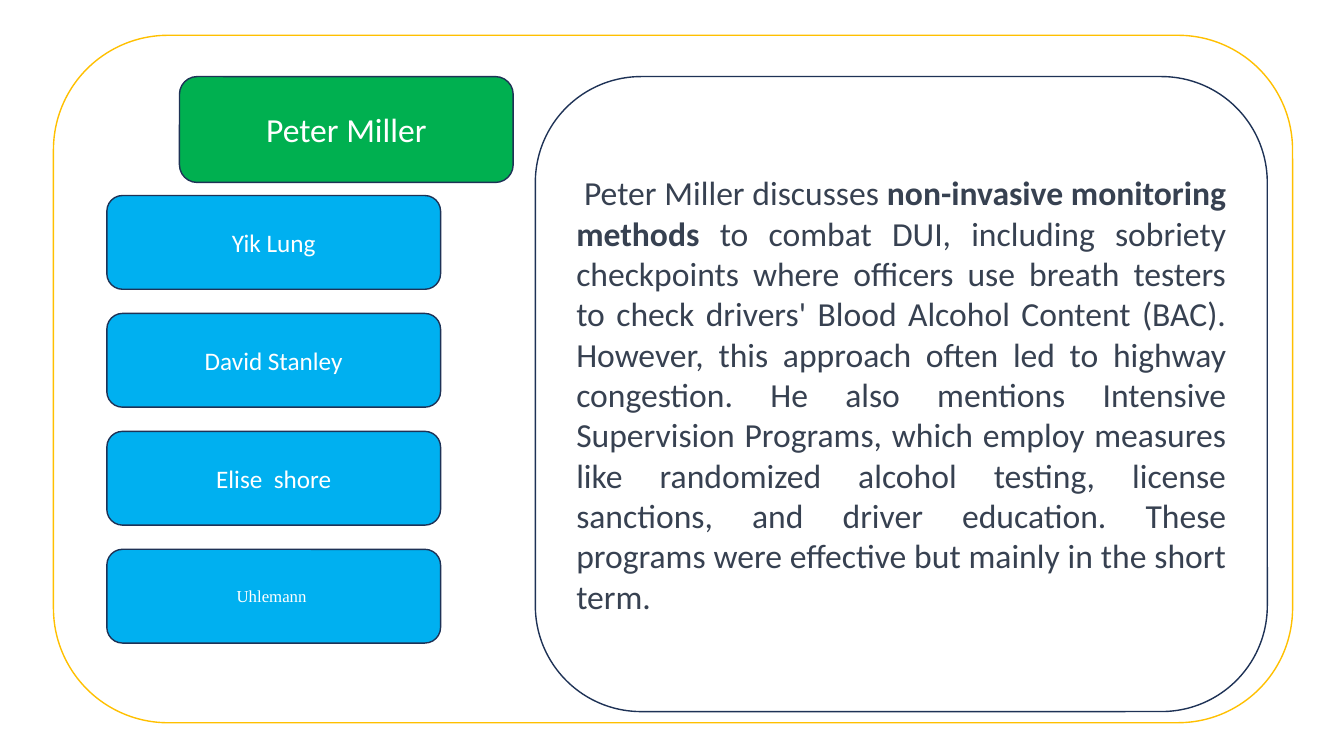
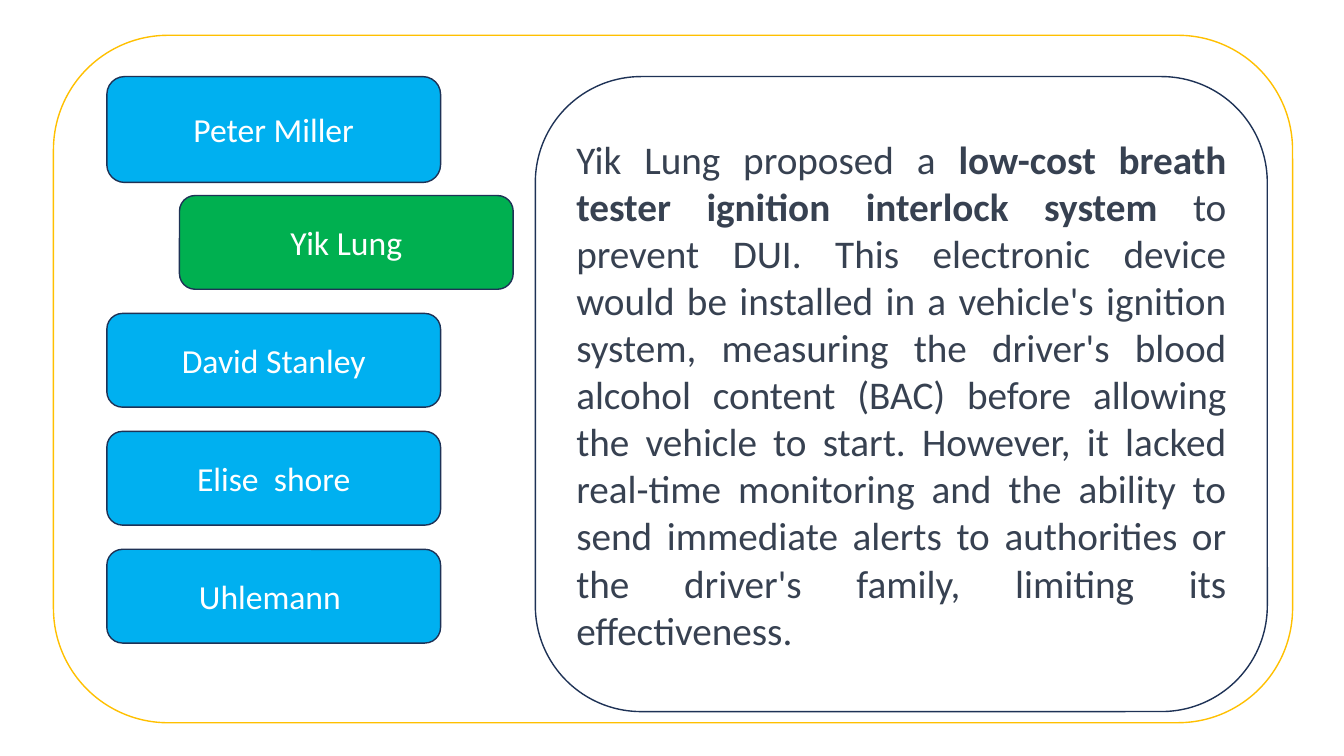
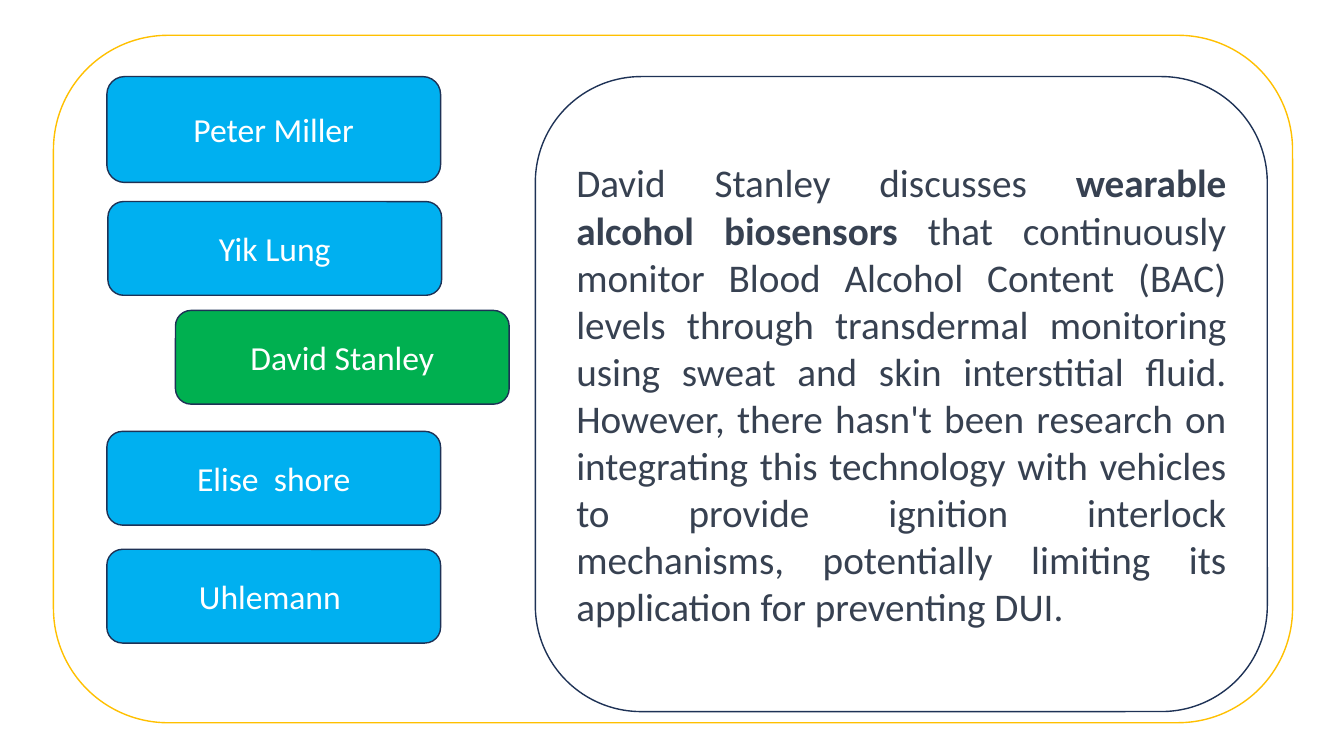
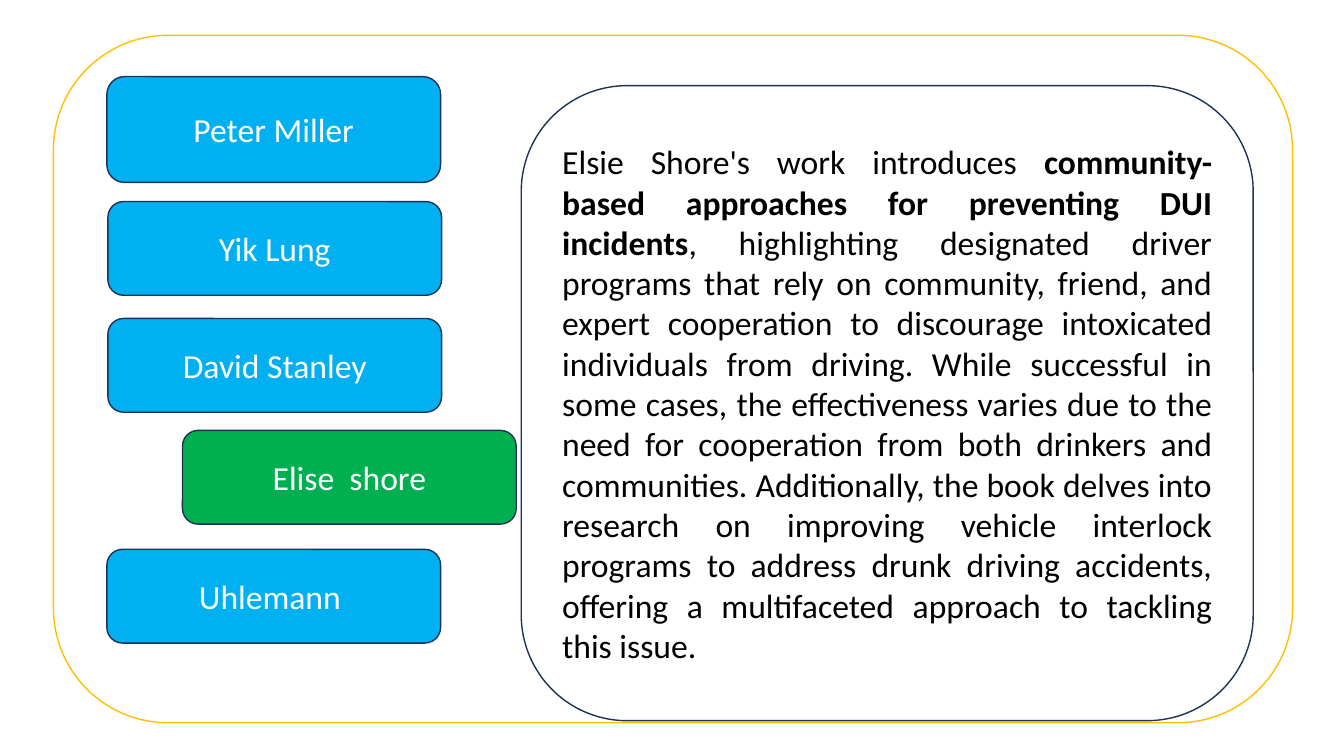
from pptx import Presentation
from pptx import util as u
from pptx.dml.color import RGBColor
from pptx.enum import shapes, text

PX = 9144  # 100 px to the inch
WHITE = RGBColor(0xFF, 0xFF, 0xFF)
BLACK = RGBColor(0x00, 0x00, 0x00)
SLATE = RGBColor(0x37, 0x41, 0x51)
NAVY = RGBColor(0x1E, 0x32, 0x56)
GOLD = RGBColor(0xFF, 0xC0, 0x00)
GREEN = RGBColor(0x00, 0xB0, 0x50)
BLUE = RGBColor(0x00, 0xB0, 0xF0)
FONT = "Calibri"

FRAME = (53, 35, 1229, 682)
TAB_X, TAB_W, TAB_H = 106, 331, 93
FIRST_Y, FIRST_H = 76, 105
SECOND_Y, TAB_STEP = 194, 117
PANEL_W, PANEL_H = 726, 630
AUTHORS = ["Peter Miller", "Yik Lung", "David Stanley", "Elise  shore", "Uhlemann "]

# active: index of the green tab; moved: tabs placed off the regular column
SLIDES = [
    dict(active=0, moved={0: (178, FIRST_Y)}, panel=(531, 76), size=24, color=SLATE,
         fonts={1: (FONT, 18), 2: (FONT, 18), 3: (FONT, 18), 4: ("Times New Roman", 12)},
         runs=[" Peter Miller discusses ",
               "non-invasive monitoring methods ",
               "to combat DUI, including sobriety checkpoints where officers use "
               "breath testers to check drivers' Blood Alcohol Content (BAC). However, "
               "this approach often led to highway congestion. He also mentions "
               "Intensive Supervision Programs, which employ measures like randomized "
               "alcohol testing, license sanctions, and driver education. These "
               "programs were effective but mainly in the short term."]),
    dict(active=1, moved={1: (178, SECOND_Y)}, panel=(531, 76), size=28, color=SLATE,
         fonts={},
         runs=["Yik Lung proposed a ",
               "low-cost breath tester ignition interlock system ",
               "to prevent DUI. This electronic device would be installed in a "
               "vehicle's ignition system, measuring the driver's blood alcohol "
               "content (BAC) before allowing the vehicle to start. However, it "
               "lacked real-time monitoring and the ability to send immediate alerts "
               "to authorities or the driver's family, limiting its effectiveness."]),
    dict(active=2, moved={1: (107, 200), 2: (174, 308)}, panel=(531, 76), size=28,
         color=SLATE, fonts={},
         runs=["David Stanley discusses ",
               "wearable alcohol biosensors",
               " that continuously monitor Blood Alcohol Content (BAC) levels through "
               "transdermal monitoring using sweat and skin interstitial fluid. "
               "However, there hasn't been research on integrating this technology "
               "with vehicles to provide ignition interlock mechanisms, potentially "
               "limiting its application for preventing DUI."]),
    dict(active=3, moved={1: (107, 200), 2: (107, 316), 3: (181, 427)},
         panel=(517, 85), size=24, color=BLACK, fonts={},
         runs=["Elsie Shore's work introduces ",
               "community-based approaches for preventing DUI incidents",
               ", highlighting designated driver programs that rely on community, "
               "friend, and expert cooperation to discourage intoxicated individuals "
               "from driving. While successful in some cases, the effectiveness varies "
               "due to the need for cooperation from both drinkers and communities. "
               "Additionally, the book delves into research on improving vehicle "
               "interlock programs to address drunk driving accidents, offering a "
               "multifaceted approach to tackling this issue."]),
]


def add_box(s, box, fill, line):
    sp = s.shapes.add_shape(shapes.MSO_SHAPE.ROUNDED_RECTANGLE, *(v * PX for v in box))
    sp.shadow.inherit = False
    sp.fill.solid()
    sp.fill.fore_color.rgb = fill
    sp.line.color.rgb = line
    sp.line.width = u.Pt(1)
    return sp


def write(sp, runs, align, name, size, color):
    """Fill a box with one paragraph; every second run is bold."""
    tf = sp.text_frame
    tf.word_wrap = True
    tf.vertical_anchor = text.MSO_ANCHOR.MIDDLE
    p = tf.paragraphs[0]
    p.alignment = align
    p.font.name = name
    p.font.size = u.Pt(size)
    p.font.color.rgb = color
    for i, part in enumerate(runs):
        r = p.add_run()
        r.text = part
        if i % 2:
            r.font.bold = True


prs = Presentation()
prs.slide_width = u.Inches(13.33)
prs.slide_height = u.Inches(7.5)

for page in SLIDES:
    s = prs.slides.add_slide(prs.slide_layouts[6])
    add_box(s, FRAME, WHITE, GOLD)
    panel = add_box(s, (*page["panel"], PANEL_W, PANEL_H), WHITE, NAVY)
    write(panel, page["runs"], text.PP_ALIGN.JUSTIFY, FONT, page["size"], page["color"])

    for i, author in enumerate(AUTHORS):
        y = SECOND_Y + (i - 1) * TAB_STEP if i else FIRST_Y
        x, y = page["moved"].get(i, (TAB_X, y))
        fill = GREEN if i == page["active"] else BLUE
        tab = add_box(s, (x, y, TAB_W, TAB_H if i else FIRST_H), fill, NAVY)
        name, size = page["fonts"].get(i, (FONT, 24))
        write(tab, [author], text.PP_ALIGN.CENTER, name, size, WHITE)

prs.save("out.pptx")
